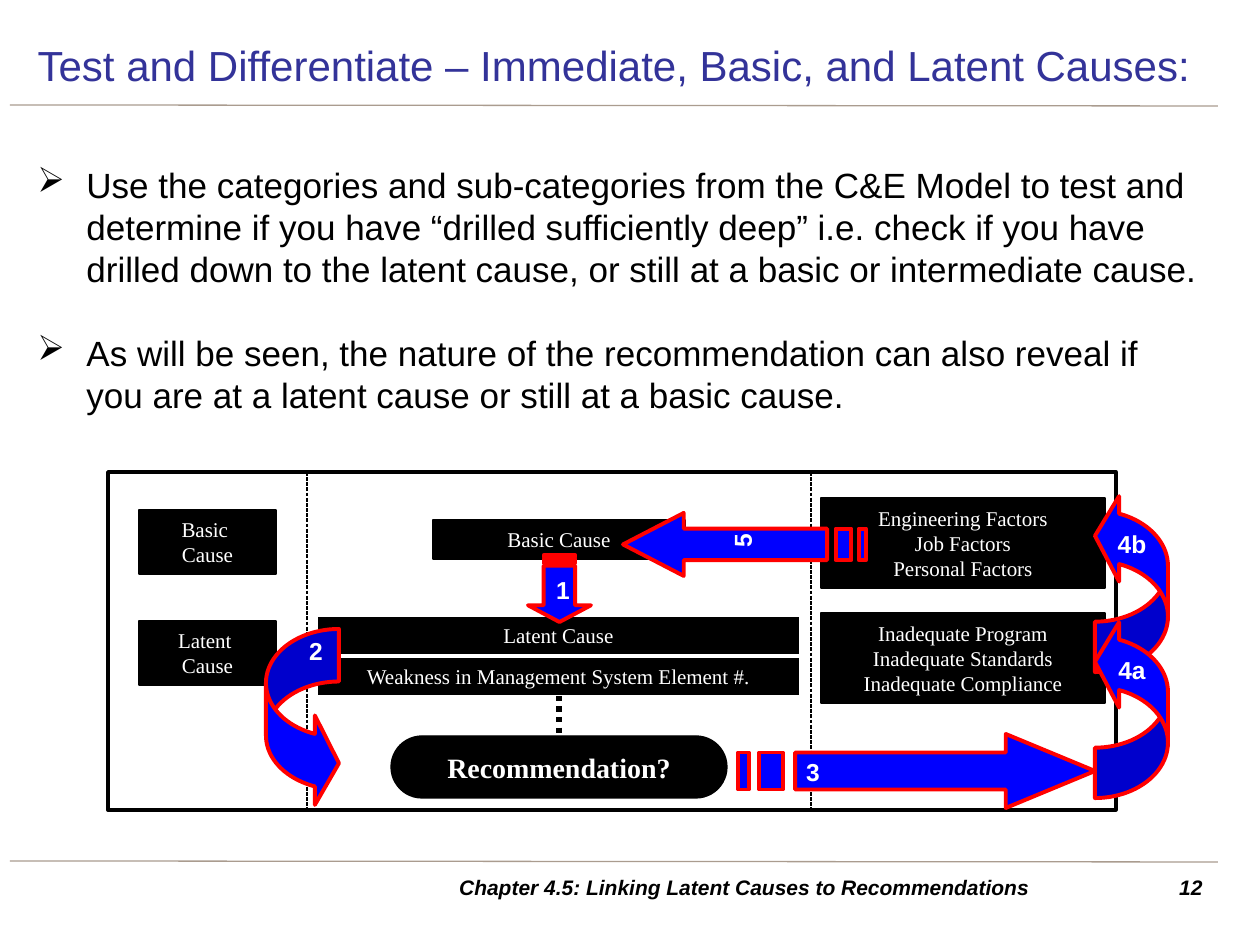
from dataclasses import dataclass

from lxml.etree import SubElement
from pptx import Presentation
from pptx.dml.color import RGBColor
from pptx.enum.dml import MSO_LINE
from pptx.enum.shapes import MSO_CONNECTOR, MSO_SHAPE
from pptx.enum.text import MSO_ANCHOR, PP_ALIGN
from pptx.oxml.ns import qn
from pptx.util import Pt

SCALE = 914400 / 126  # EMU per px


@dataclass(frozen=True)
class Theme:
    sans: str = "Arial"
    serif: str = "Times New Roman"
    black: str = "000000"
    white: str = "FFFFFF"
    title: str = "333399"
    rule: str = "AA9C8F"
    blue: str = "0000FF"
    red: str = "FF0000"
    head: int = 24
    body: int = 20
    big: int = 16
    mark: int = 14
    small: int = 12


T = Theme()


def px(n):
    return round(n * SCALE)


def rgb(code):
    return RGBColor.from_string(code)


def write(para, text, size, color=T.black, face=T.sans, bold=False, italic=False):
    for i, part in enumerate(text.split("\n")):
        if i:
            para.add_line_break()
        run = para.add_run()
        run.text = part
        font = run.font
        font.name, font.size = face, Pt(size)
        font.bold, font.italic = bold, italic
        font.color.rgb = rgb(color)


def paint(shape, fill, line, width):
    shape.shadow.inherit = False
    shape.fill.solid()
    shape.fill.fore_color.rgb = rgb(fill)
    shape.line.color.rgb = rgb(line)
    shape.line.width = Pt(width)


def rule(slide, x1, y1, x2, y2, color=T.black, width=0.75, dash=None):
    line = slide.shapes.add_connector(MSO_CONNECTOR.STRAIGHT, px(x1), px(y1), px(x2), px(y2))
    line.line.color.rgb = rgb(color)
    line.line.width = Pt(width)
    if dash:
        line.line.dash_style = dash
    SubElement(line._element.spPr, qn("a:effectLst"))


def text_box(slide, x, y, w, h, anchor=MSO_ANCHOR.TOP):
    box = slide.shapes.add_textbox(px(x), px(y), px(w), px(h))
    box.text_frame.word_wrap = True
    box.text_frame.vertical_anchor = anchor
    return box


def block(slide, x, y, w, h, text="", kind=MSO_SHAPE.RECTANGLE, fill=T.black,
          line=T.black, width=0.75, size=T.small, bold=False):
    shape = slide.shapes.add_shape(kind, px(x), px(y), px(w), px(h))
    paint(shape, fill, line, width)
    if text:
        frame = shape.text_frame
        frame.word_wrap = True
        frame.vertical_anchor = MSO_ANCHOR.MIDDLE
        para = frame.paragraphs[0]
        para.alignment = PP_ALIGN.CENTER
        write(para, text, size, T.white, T.serif, bold)
    return shape


def mark(slide, x, y, text, turn=0):
    """Step number centred on a point."""
    w, h = 44, 32
    box = text_box(slide, x - w / 2, y - h / 2, w, h, MSO_ANCHOR.MIDDLE)
    box.rotation = turn
    frame = box.text_frame
    frame.margin_left = frame.margin_right = frame.margin_top = frame.margin_bottom = 0
    frame.paragraphs[0].alignment = PP_ALIGN.CENTER
    write(frame.paragraphs[0], text, T.mark, T.white, bold=True)


def striped(slide, x, y, w, h, way):
    """Arrow with two tail stripes; a runs along it, b across it."""
    def spot(a, b):
        u, v = {"right": (a, b), "left": (1 - a, b), "down": (b, a)}[way]
        return px(x + u * w), px(y + v * h)

    def bar(a1, a2):
        return [(a1, 0.25), (a2, 0.25), (a2, 0.75), (a1, 0.75)]

    neck = 0.75
    arrow = [(neck, 0), (neck, 0.25), (0.16, 0.25), (0.16, 0.75),
             (neck, 0.75), (neck, 1), (1, 0.5)]
    maker = None
    for part in (arrow, bar(0.06, 0.125), bar(0, 0.03)):
        first, *rest = [spot(a, b) for a, b in part]
        if maker is None:
            maker = slide.shapes.build_freeform(*first)
        else:
            maker.move_to(*first)
        maker.add_line_segments(rest, close=True)
    paint(maker.convert_to_shape(), T.blue, T.red, 2.25)


def curved(slide, x, y, adj, turn=0):
    shape = block(slide, x, y, 73, 179, kind=MSO_SHAPE.CURVED_RIGHT_ARROW,
                  fill=T.blue, line=T.red, width=2.25)
    for i, value in enumerate(adj):
        shape.adjustments[i] = value
    shape.rotation = turn


def header(slide, x, y, w, h):
    title = slide.shapes.title
    title.left, title.top, title.width, title.height = px(x), px(y), px(w), px(h)
    title.text_frame.vertical_anchor = MSO_ANCHOR.MIDDLE
    para = title.text_frame.paragraphs[0]
    para.alignment = PP_ALIGN.LEFT
    write(para, "Test and Differentiate – Immediate, Basic, and Latent Causes:", T.head, T.title)


def points(slide, x, y, w, h):
    frame = text_box(slide, x, y, w, h).text_frame
    items = (
        "Use the categories and sub-categories from the C&E Model to test and determine "
        "if you have “drilled sufficiently deep” i.e. check if you have drilled down to "
        "the latent cause, or still at a basic or intermediate cause.",
        "As will be seen, the nature of the recommendation can also reveal if you are at "
        "a latent cause or still at a basic cause.",
    )
    for i, item in enumerate(items):
        para = frame.add_paragraph() if i else frame.paragraphs[0]
        props = para._p.get_or_add_pPr()
        props.set("marL", str(px(49)))
        props.set("indent", str(-px(49)))
        SubElement(props, qn("a:buChar")).set("char", "➢")
        if i:
            para.space_before = Pt(24)
        write(para, item, T.body)


def diagram(slide, x, y, w, h):
    block(slide, x, y, w, h, fill=T.white, width=2)
    mid = x + 451

    # Cause boxes
    block(slide, x + 325, y + 48, 252, 39, "Basic Cause")
    for top, text in ((144, "Latent Cause"), (185, "Weakness in Management System Element #.")):
        block(slide, x + 209, y + top, 483, 39, text, line=T.white)
    for top, text in ((38, "Basic \nCause"), (149, "Latent \nCause")):
        block(slide, x + 31, y + top, 137, 64, text)
    for top, text in ((26, "Engineering Factors\nJob Factors\nPersonal Factors"),
                      (141, "Inadequate Program\nInadequate Standards\nInadequate Compliance")):
        block(slide, x + 713, y + top, 284, 90, text)

    # Links and recommendation
    rule(slide, mid, y + 87, mid, y + 144, width=3)
    rule(slide, mid, y + 224, mid, y + 264, width=3, dash=MSO_LINE.ROUND_DOT)
    pill = block(slide, x + 283, y + 264, 336, 62, "Recommendation?",
                 MSO_SHAPE.ROUNDED_RECTANGLE, size=T.big, bold=True)
    pill.adjustments[0] = 0.5

    # Column dividers
    for left in (199, 703):
        rule(slide, x + left, y, x + left, y + h, dash=MSO_LINE.SQUARE_DOT)

    # Step arrows
    curved(slide, x + 158, y + 157, (0.72, 1.23, 0.33))
    striped(slide, x + 630, y + 262, 357, 74, "right")
    for top in (21, 147):
        curved(slide, x + 987, y + top, (0.69, 1.17, 0.33), 180)
    striped(slide, x + 515, y + 41, 243, 63, "left")
    striped(slide, x + 420, y + 83, 63, 67, "down")

    # Step numbers
    for left, top, text in ((455, 118, "1"), (208, 179, "2"), (705, 300, "3"),
                            (1024, 72, "4b"), (1024, 198, "4a")):
        mark(slide, x + left, y + top, text)
    mark(slide, x + 634, y + 69, "5", 270)


def footer(slide, x, y, w, h):
    for left, wide, text, align in (
            (x, 745, "Chapter 4.5: Linking Latent Causes to Recommendations", PP_ALIGN.CENTER),
            (x + w - 73, 73, "12", PP_ALIGN.RIGHT)):
        box = text_box(slide, left, y, wide, h, MSO_ANCHOR.MIDDLE)
        para = box.text_frame.paragraphs[0]
        para.alignment = align
        write(para, text, T.small, bold=True, italic=True)


def main():
    deck = Presentation()
    deck.slide_width, deck.slide_height = px(1260), px(945)
    slide = deck.slides.add_slide(deck.slide_layouts[5])
    for y in (105, 861):
        rule(slide, 10, y, 1218, y + 1, T.rule)
    header(slide, 25, 30, 1191, 69)
    points(slide, 25, 157, 1191, 270)
    diagram(slide, 108, 472, 1008, 338)
    footer(slide, 372, 868, 843, 39)
    deck.save("out.pptx")


if __name__ == "__main__":
    main()
